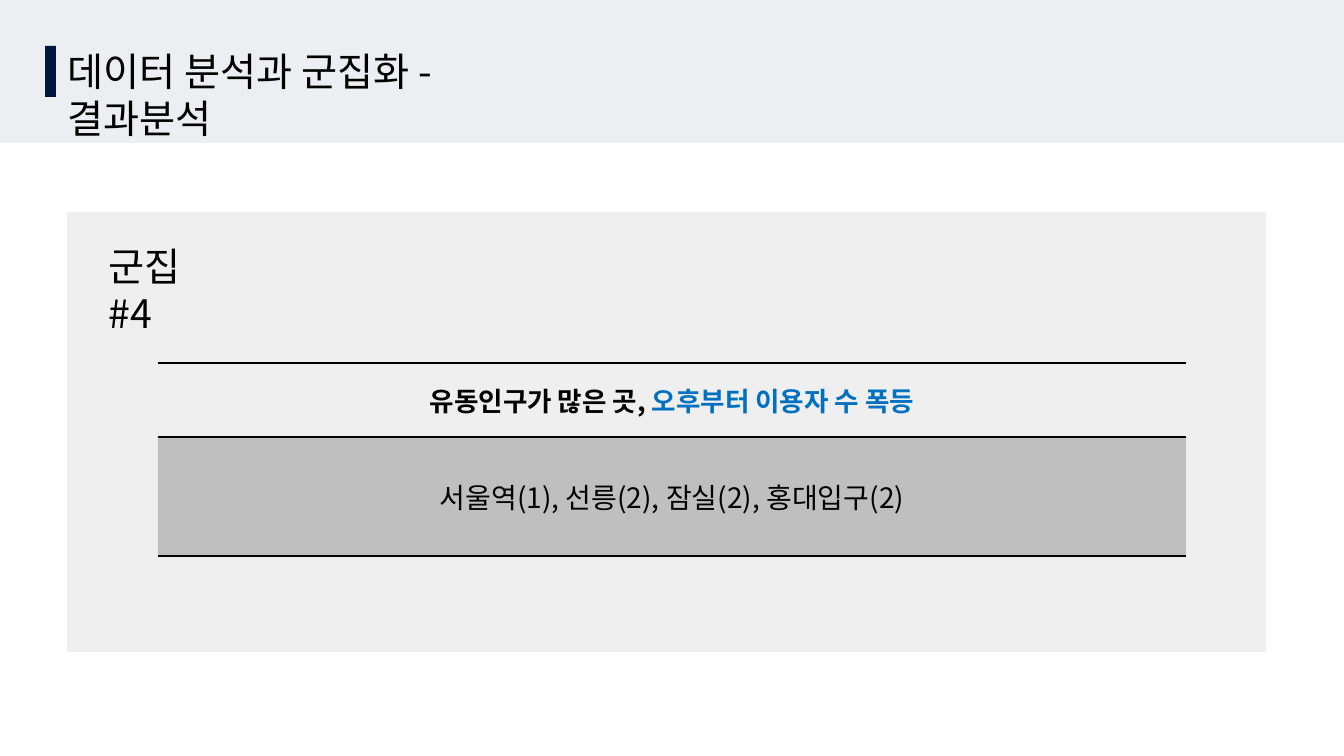
import pptx
import pptx.dml.color
import pptx.enum.shapes
import pptx.enum.text
import pptx.oxml
import pptx.oxml.ns
import pptx.util
from dataclasses import dataclass

EMU_PER_PX = 914400 / 100.8
SLIDE_W, SLIDE_H = 1344, 756


@dataclass(frozen=True)
class Theme:
    font: str = "Noto Sans CJK KR"
    navy: str = "00153D"
    card: str = "D9D9D9"
    ink: str = "000000"
    accent: str = "0070C0"
    heading_pt: int = 28
    feature_pt: int = 19
    station_pt: int = 20
    border_pt: int = 1


THEME = Theme()


def px(length):
    return pptx.util.Emu(round(length * EMU_PER_PX))


def place(box):
    return [px(length) for length in box]


def paint(fill, color, opacity=100):
    fill.solid()
    fill.fore_color.rgb = pptx.dml.color.RGBColor.from_string(color)
    if opacity < 100:
        rgb = fill.fore_color._xFill.find(".//" + pptx.oxml.ns.qn("a:srgbClr"))
        alpha = rgb.makeelement(pptx.oxml.ns.qn("a:alpha"), {"val": str(opacity * 1000)})
        rgb.append(alpha)


def add_panel(slide, box, color, opacity=100):
    panel = slide.shapes.add_shape(pptx.enum.shapes.MSO_SHAPE.RECTANGLE, *place(box))
    panel.shadow.inherit = False
    panel.line.fill.background()
    paint(panel.fill, color, opacity)


def write(paragraph, wording, size, color=THEME.ink, bold=False):
    run = paragraph.add_run()
    run.text = wording
    formats = {"name": THEME.font, "size": pptx.util.Pt(size), "bold": bold}
    for key, value in formats.items():
        setattr(run.font, key, value)
    run.font.color.rgb = pptx.dml.color.RGBColor.from_string(color)
    # East Asian typeface for the Hangul
    properties = run.font._element
    properties.append(properties.makeelement(
        pptx.oxml.ns.qn("a:ea"), {"typeface": THEME.font}))


def add_heading(slide, box, wording):
    frame = slide.shapes.add_textbox(*place(box)).text_frame
    frame.word_wrap = True
    write(frame.paragraphs[0], wording, THEME.heading_pt)


def rule_cell(cell):
    """Black rules above and below, none at the sides."""
    properties = cell._tc.get_or_add_tcPr()
    width = pptx.util.Pt(THEME.border_pt)
    rule = f'<a:solidFill><a:srgbClr val="{THEME.ink}"/></a:solidFill>'
    sides = {"L": "<a:noFill/>", "R": "<a:noFill/>", "T": rule, "B": rule}
    for order, (side, line) in enumerate(sides.items()):
        properties.insert(order, pptx.oxml.parse_xml(
            f'<a:ln{side} {pptx.oxml.ns.nsdecls("a")} w="{width}">{line}</a:ln{side}>'))


def add_cluster_table(slide, box, row_heights, rows):
    table = slide.shapes.add_table(len(rows), 1, *place(box)).table
    table.first_row = table.horz_banding = False
    for index, (runs, shade) in enumerate(rows):
        table.rows[index].height = px(row_heights[index])
        cell = table.cell(index, 0)
        cell.vertical_anchor = pptx.enum.text.MSO_ANCHOR.MIDDLE
        if shade:
            paint(cell.fill, THEME.ink, shade)
        else:
            cell.fill.background()
        rule_cell(cell)
        paragraph = cell.text_frame.paragraphs[0]
        paragraph.alignment = pptx.enum.text.PP_ALIGN.CENTER
        for run in runs:
            write(paragraph, *run)


def add_header(slide, box):
    left, top, _, _ = box
    add_panel(slide, box, THEME.navy, 7)
    add_heading(slide, (left + 58, top + 42, 522, 57), "데이터 분석과 군집화 - 결과분석")
    add_panel(slide, (left + 45, top + 46, 11, 51), THEME.navy)


def add_cluster_card(slide, box):
    left, top, _, _ = box
    add_panel(slide, box, THEME.card, 40)
    add_heading(slide, (left + 32, top + 25, 142, 57), "군집 #4")
    # Cluster feature above, its stations below
    feature = [
        ("유동인구가 많은 곳, ", THEME.feature_pt, THEME.ink, True),
        ("오후부터 이용자 수 폭등", THEME.feature_pt, THEME.accent, True),
    ]
    stations = [("서울역(1), 선릉(2), 잠실(2), 홍대입구(2)", THEME.station_pt)]
    row_heights = (74, 119)
    add_cluster_table(slide, (left + 91, top + 151, 1028, sum(row_heights)),
                      row_heights, [(feature, 0), (stations, 20)])


def main():
    deck = pptx.Presentation()
    deck.slide_width, deck.slide_height = px(SLIDE_W), px(SLIDE_H)
    slide = deck.slides.add_slide(deck.slide_layouts[6])
    add_header(slide, (0, 0, SLIDE_W, 143))
    add_cluster_card(slide, (67, 212, 1199, 440))
    deck.save("out.pptx")


if __name__ == "__main__":
    main()
